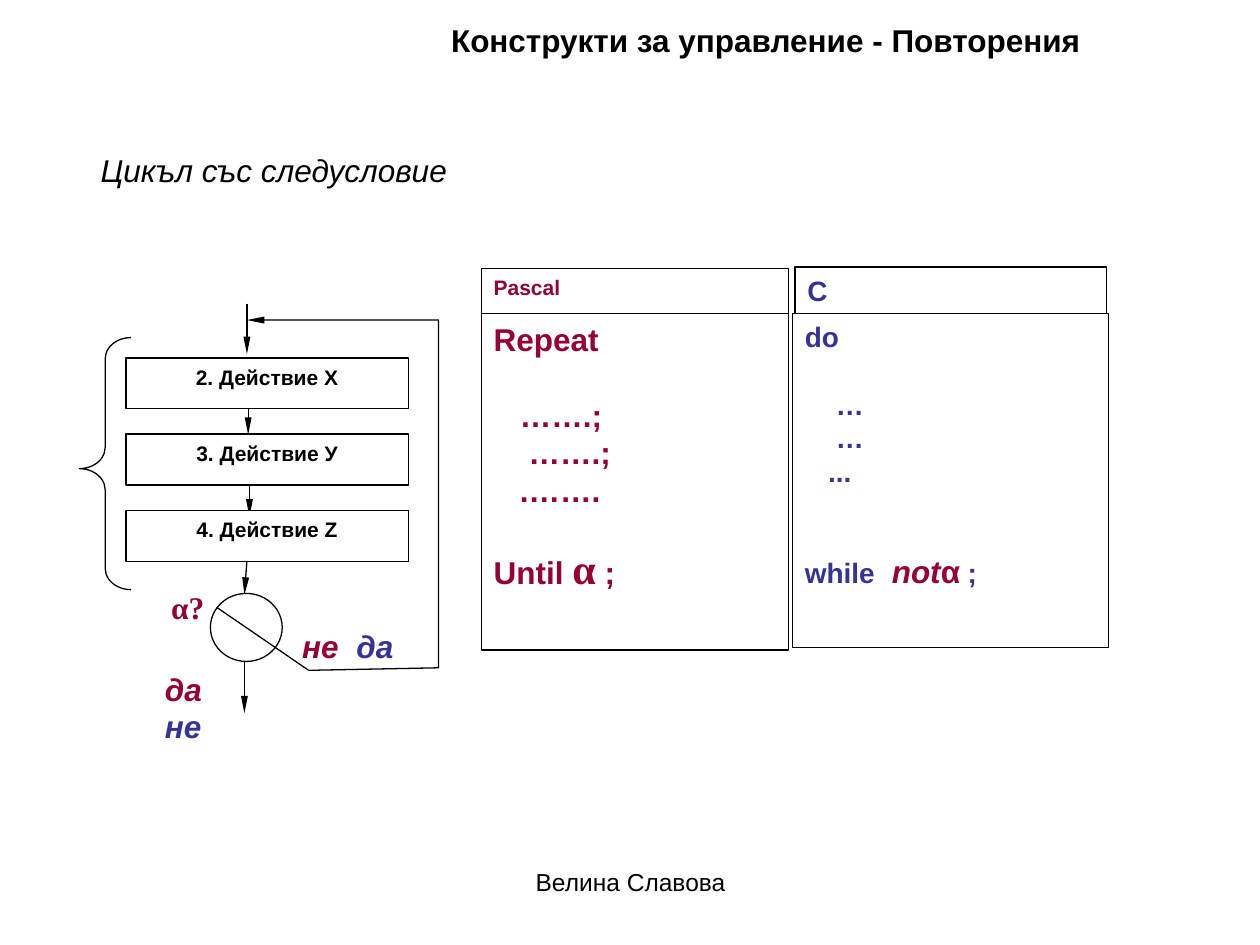
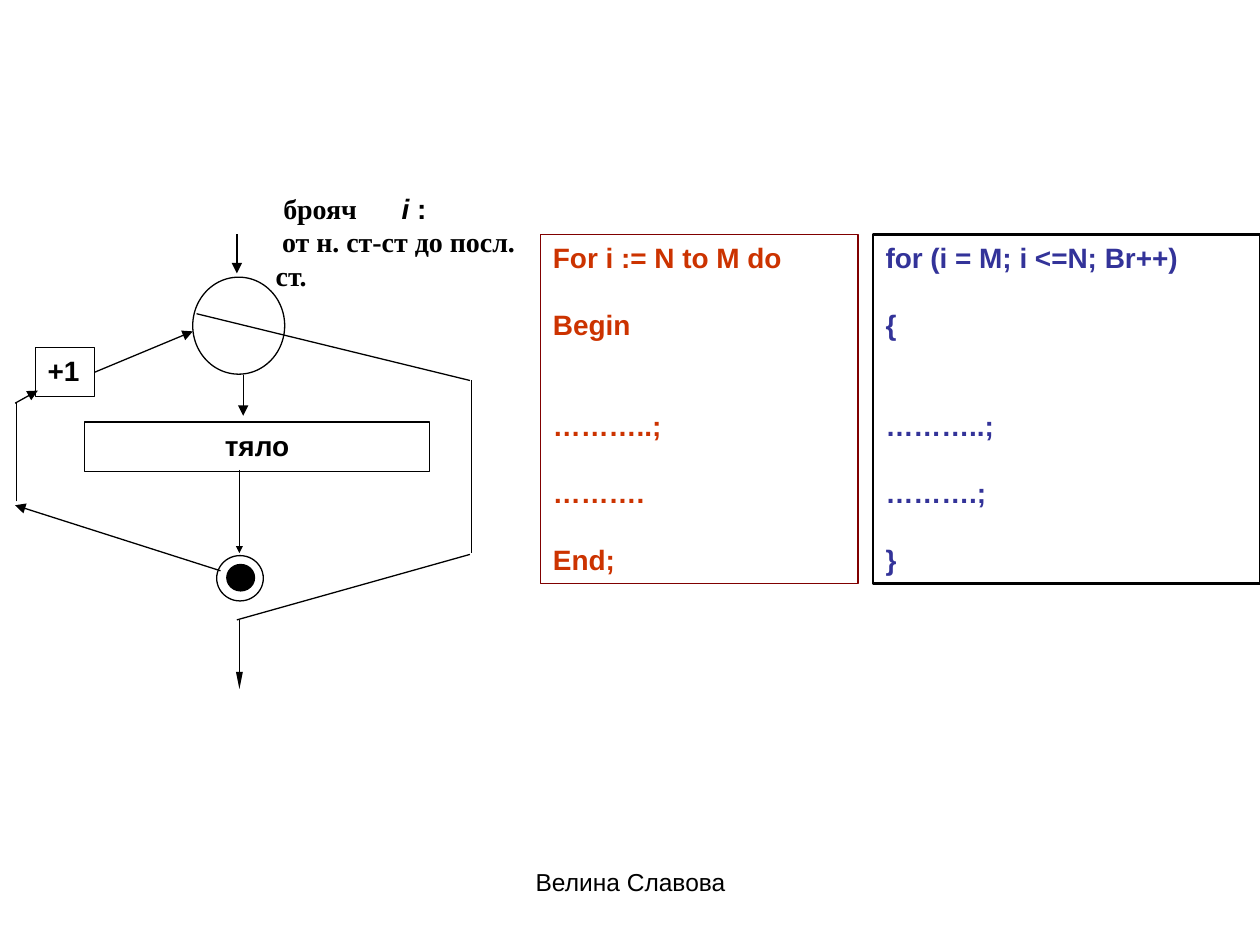
from dataclasses import dataclass, field, replace
from typing import NamedTuple, Optional, Sequence, Union

from lxml.etree import SubElement
from pptx import Presentation
from pptx.dml.color import RGBColor
from pptx.enum.shapes import MSO_CONNECTOR, MSO_SHAPE
from pptx.enum.text import MSO_ANCHOR, PP_ALIGN
from pptx.oxml.ns import qn
from pptx.util import Emu, Inches, Pt

SLIDE_WIDTH, SLIDE_HEIGHT = Inches(10), Inches(7.5)
COLUMNS, ROWS = 100, 75
TITLE_ONLY, BLANK = 5, 6
BLACK, WHITE = "000000", "FFFFFF"
CRIMSON, BLUE, RUST, MAROON = "990033", "333399", "CC3300", "800000"
SANS, SERIF = "Arial", "Times New Roman"
LINE_PITCH = 1.2
THIN = 0.75
SLIM, MEDIUM, SMALL = ("sm", "lg"), ("med", "med"), ("sm", "sm")


class Area(NamedTuple):
    """A rectangle in grid columns and rows."""
    left: float
    top: float
    width: float
    height: float


class Point(NamedTuple):
    column: float
    row: float


class Arrow(NamedTuple):
    start: Point
    end: Point
    head: Optional[tuple[str, str]] = None


@dataclass(frozen=True)
class Style:
    size: float = 18
    color: str = BLACK
    font: str = SANS
    bold: bool = False
    italic: bool = False


@dataclass(frozen=True)
class Span:
    text: str
    changes: dict = field(default_factory=dict)


@dataclass(frozen=True)
class Line:
    """A paragraph; gap counts the free lines above it."""
    spans: Sequence[Span]
    gap: float = 0
    tab: float = 0
    indent: float = 0


class Label(NamedTuple):
    text: str
    area: Area
    style: Style


CODE_PASCAL = Style(18, CRIMSON, bold=True)
CODE_C = Style(16, BLUE, bold=True)
ANSWER = Style(18, CRIMSON, bold=True, italic=True)
ACTION = Style(12, bold=True)
BODY = Style(16, bold=True)


def columns(count: float) -> Emu:
    return Emu(round(count * SLIDE_WIDTH / COLUMNS))


def rows(count: float) -> Emu:
    return Emu(round(count * SLIDE_HEIGHT / ROWS))


def place(area: Area) -> tuple:
    return (columns(area.left), rows(area.top),
            columns(area.width), rows(area.height))


def color_of(value: str) -> RGBColor:
    return RGBColor.from_string(value)


def code(text: str, gap: float = 0) -> Line:
    return Line([Span(text)], gap)


def add_span(para, text: str, *, style: Style) -> None:
    span = para.add_run()
    span.text = text
    span.font.size = Pt(style.size)
    span.font.name = style.font
    span.font.bold = style.bold
    span.font.italic = style.italic
    span.font.color.rgb = color_of(style.color)


def write(frame, content: Union[str, Sequence[Line]], *, style: Style = Style(),
          align=PP_ALIGN.LEFT, wrap: bool = True) -> None:
    frame.word_wrap = wrap
    frame.vertical_anchor = MSO_ANCHOR.TOP
    lines = [code(content)] if isinstance(content, str) else content
    for index, line in enumerate(lines):
        para = frame.add_paragraph() if index else frame.paragraphs[0]
        styles = [replace(style, **span.changes) for span in line.spans]
        para.alignment = align
        para.line_spacing = Pt(LINE_PITCH * max(item.size for item in styles))
        para.space_before = Pt(LINE_PITCH * style.size * line.gap)
        properties = para._p.get_or_add_pPr()
        if line.indent:
            properties.set("indent", str(columns(line.indent)))
        if line.tab:
            tabs = SubElement(properties, qn("a:tabLst"))
            SubElement(tabs, qn("a:tab"), pos=str(columns(line.tab)), algn="l")
        for span, span_style in zip(line.spans, styles):
            add_span(para, span.text, style=span_style)


def add_text(slide, area: Area, content, **options) -> None:
    write(slide.shapes.add_textbox(*place(area)).text_frame, content, **options)


def outline(shape, *, fill: Optional[str], line: str = BLACK, weight: float = THIN) -> None:
    shape.shadow.inherit = False
    if fill:
        shape.fill.solid()
        shape.fill.fore_color.rgb = color_of(fill)
    else:
        shape.fill.background()
    shape.line.color.rgb = color_of(line)
    shape.line.width = Pt(weight)


def add_outlined(slide, kind, area: Area, *, fill: Optional[str] = WHITE,
                 line: str = BLACK, weight: float = THIN):
    shape = slide.shapes.add_shape(kind, *place(area))
    outline(shape, fill=fill, line=line, weight=weight)
    return shape


def add_box(slide, area: Area, content, *, style: Style, align=PP_ALIGN.LEFT, **look):
    box = add_outlined(slide, MSO_SHAPE.RECTANGLE, area, **look)
    write(box.text_frame, content, style=style, align=align)
    return box


def add_arrowhead(shape, head: tuple[str, str]) -> None:
    width, length = head
    line = shape._element.spPr.find(qn("a:ln"))
    SubElement(line, qn("a:tailEnd"), type="triangle", w=width, len=length)


def add_arrow(slide, arrow: Arrow):
    connector = slide.shapes.add_connector(
        MSO_CONNECTOR.STRAIGHT, columns(arrow.start.column), rows(arrow.start.row),
        columns(arrow.end.column), rows(arrow.end.row))
    connector.line.color.rgb = color_of(BLACK)
    connector.line.width = Pt(THIN)
    if arrow.head:
        add_arrowhead(connector, arrow.head)
    SubElement(connector._element.spPr, qn("a:effectLst"))
    return connector


def add_return_path(slide, points: Sequence[Point]) -> None:
    """Draw an open bent line that ends in an arrowhead."""
    corners = [(columns(point.column), rows(point.row)) for point in points]
    builder = slide.shapes.build_freeform(*corners[0])
    builder.add_line_segments(corners[1:], close=False)
    bent_line = builder.convert_to_shape()
    outline(bent_line, fill=None)
    add_arrowhead(bent_line, SLIM)


def add_footer(slide) -> None:
    add_text(slide, Area(34.2, 68.3, 31.7, 5.2), "Велина Славова",
             style=Style(14), align=PP_ALIGN.CENTER)


def add_title(slide, text: str) -> None:
    title = slide.shapes.title
    title.left, title.top, title.width, title.height = place(Area(20.8, 0, 66.1, 8.1))
    frame = title.text_frame
    frame.margin_left, frame.margin_right = columns(15), 0
    frame.margin_top, frame.margin_bottom = rows(1.7), rows(0.4)
    write(frame, text, style=Style(bold=True))


def build_repeat_slide(deck) -> None:
    slide = deck.slides.add_slide(deck.slide_layouts[TITLE_ONLY])
    add_title(slide, "Конструкти за управление - Повторения")
    add_text(slide, Area(7, 11.5, 29.6, 4), "Цикъл със следусловие",
             style=Style(italic=True), wrap=False)

    for arrow in (
        Arrow(Point(19.6, 44.5), Point(19.4, 47.2), SLIM),
        Arrow(Point(19.4, 52.5), Point(19.4, 56.6), SLIM),
        Arrow(Point(19.6, 24.1), Point(19.6, 28.1), SLIM),
        Arrow(Point(19.7, 31.8), Point(19.7, 34.5), SLIM),
        Arrow(Point(19.8, 38.2), Point(19.8, 41), SLIM),
    ):
        add_arrow(slide, arrow)
    add_outlined(slide, MSO_SHAPE.OVAL, Area(16.7, 47.1, 5.7, 5.4))
    add_return_path(slide, [Point(17.2, 48.2), Point(24.5, 53.2), Point(34.8, 53),
                            Point(34.8, 25.4), Point(19.6, 25.4)])
    actions = ("2. Действие X", "3. Действие У", "4. Действие Z")
    for index, action in enumerate(actions):
        add_box(slide, Area(10, 28.4 + 6.05 * index, 22.4, 4.05), action,
                style=ACTION, align=PP_ALIGN.CENTER)
    brace = add_outlined(slide, MSO_SHAPE.LEFT_BRACE, Area(6.3, 26.8, 4.1, 20), fill=None)
    brace.adjustments[0], brace.adjustments[1] = 0.41, 0.52

    add_box(slide, Area(63.1, 21.2, 24.7, 3.7), "C", style=CODE_C)
    add_box(slide, Area(62.9, 24.9, 25.1, 26.5), [
        code("do"), code("    …", gap=1), code("    …"), code("   ..."),
        Line([Span("while\t;")], gap=2, tab=12.9),
    ], style=CODE_C)
    add_box(slide, Area(38.2, 21.3, 24.4, 3.8), "Pascal", style=replace(ACTION, color=CRIMSON))
    add_box(slide, Area(38.2, 24.9, 24.4, 26.7), [
        code("Repeat"), code("   …….;", gap=1), code("    …….;"), code("   .……."),
        Line([Span("Until "), Span("α", {"size": 24, "font": SERIF}), Span(" ;")], gap=0.9),
    ], style=CODE_PASCAL)

    add_text(slide, Area(69.8, 43.3, 7.4, 4),
             [Line([Span("not"), Span("α", {"italic": False})])], style=ANSWER, wrap=False)
    add_text(slide, Area(10.9, 46.2, 8, 5.4), "α?",
             style=replace(CODE_PASCAL, font=SERIF), align=PP_ALIGN.CENTER)
    blue_answer = replace(ANSWER, color=BLUE)
    for label in (
        Label("да", Area(12.1, 52.7, 4.9, 4), ANSWER),
        Label("не", Area(23, 49.3, 4.9, 4), ANSWER),
        Label("да", Area(27.3, 49.3, 4.9, 4), blue_answer),
        Label("не", Area(12.1, 55.6, 4.9, 4), blue_answer),
    ):
        add_text(slide, label.area, label.text, style=label.style, wrap=False)
    add_footer(slide)


def build_counter_slide(deck) -> None:
    slide = deck.slides.add_slide(deck.slide_layouts[BLANK])
    serif = {"font": SERIF}
    add_text(slide, Area(20.9, 14.7, 21.3, 5.1), [
        Line([Span("брояч\t", serif), Span("i", {"italic": True}), Span(" :")],
             tab=7.5, indent=0.6),
        Line([Span("от н. ст-ст до посл. ст.", serif)], indent=0.5),
    ], style=BODY)

    add_box(slide, Area(6.7, 33.5, 27.4, 3.9), "тяло", style=BODY, align=PP_ALIGN.CENTER)
    step = add_box(slide, Area(2.8, 27.6, 4.7, 3.9), "+1", style=BODY)
    for area, fill in (
        (Area(15.3, 22, 7.3, 7.7), WHITE),
        (Area(17.2, 44.1, 3.7, 3.6), WHITE),
        (Area(18, 44.8, 2.2, 2.1), BLACK),
    ):
        add_outlined(slide, MSO_SHAPE.OVAL, area, fill=fill)

    step_arrow = add_arrow(slide, Arrow(Point(7.5, 29.5), Point(15.3, 26.3), MEDIUM))
    step_arrow.begin_connect(step, 3)
    for arrow in (
        Arrow(Point(18.8, 18.6), Point(18.8, 21.7), MEDIUM),
        Arrow(Point(19.3, 29.8), Point(19.3, 33), MEDIUM),
        Arrow(Point(19, 37.3), Point(19, 43.9), SMALL),
        Arrow(Point(17.5, 45.3), Point(1.2, 40.1), MEDIUM),
        Arrow(Point(1.3, 39.8), Point(1.3, 32)),
        Arrow(Point(1.2, 32), Point(3, 31), MEDIUM),
        Arrow(Point(15.6, 24.9), Point(37.3, 30.2)),
        Arrow(Point(37.4, 30.2), Point(37.4, 43.9)),
        Arrow(Point(37.3, 44), Point(18.8, 49.2)),
        Arrow(Point(19, 49.2), Point(19, 54.7), SLIM),
    ):
        add_arrow(slide, arrow)

    add_box(slide, Area(42.9, 18.6, 25.2, 27.7), [
        code("For i := N to M do"), code("Begin", gap=1), code("………..;", gap=2),
        code("……….", gap=1), code("End;", gap=1),
    ], style=replace(CODE_C, color=RUST), fill=None, line=MAROON)
    add_box(slide, Area(69.3, 18.6, 30.7, 27.7), [
        code("for (i = M; i <=N; Br++)"), code("{", gap=1), code("………..;", gap=2),
        code("……….;", gap=1), code("}", gap=1),
    ], style=CODE_C, fill=None, weight=1.5)
    add_footer(slide)


def main() -> None:
    deck = Presentation()
    deck.slide_width, deck.slide_height = SLIDE_WIDTH, SLIDE_HEIGHT
    build_repeat_slide(deck)
    build_counter_slide(deck)
    deck.save("out.pptx")


if __name__ == "__main__":
    main()
